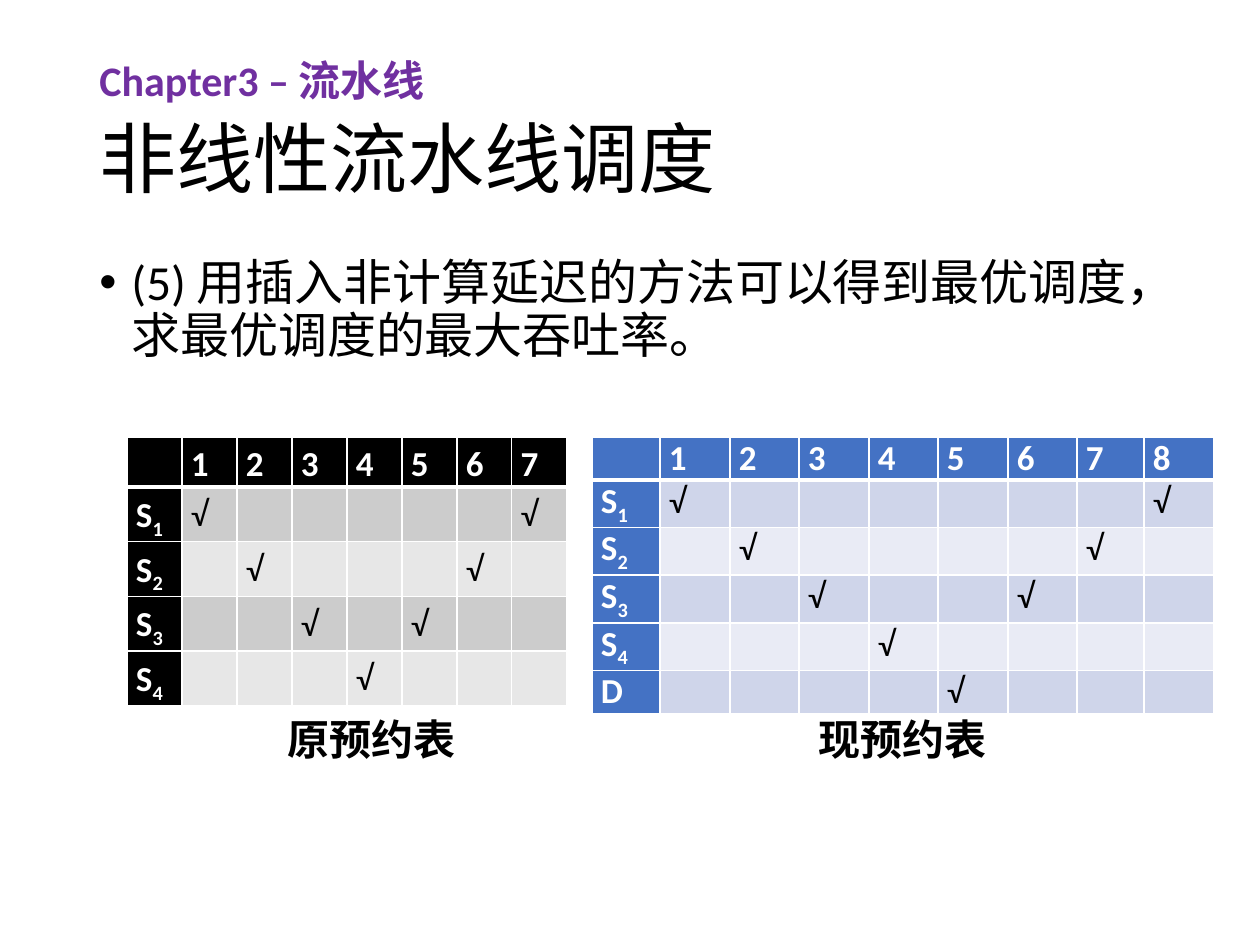
from lxml import etree
from pptx import Presentation
from pptx.dml.color import RGBColor
from pptx.enum.text import MSO_ANCHOR, MSO_AUTO_SIZE, PP_ALIGN
from pptx.oxml.ns import qn
from pptx.util import Pt

LEFT, JUSTIFY = PP_ALIGN.LEFT, PP_ALIGN.JUSTIFY
TOP, MIDDLE = MSO_ANCHOR.TOP, MSO_ANCHOR.MIDDLE
GROW = MSO_AUTO_SIZE.SHAPE_TO_FIT_TEXT
NO_FIT = MSO_AUTO_SIZE.NONE
EMU_PER_PIXEL = 914400 / 126
BLACK, WHITE, PURPLE, BLUE = "000000", "FFFFFF", "7030A0", "4472C4"
CHECK = "√"


def emu(pixels):
    return round(pixels * EMU_PER_PIXEL)


def color(value):
    return RGBColor.from_string(value)


def assign(target, values):
    for name, value in values.items():
        setattr(target, name, value)


class SlideMaker:
    font_name = "Calibri"
    cell_size = 20

    def __init__(self, deck):
        self.slide = deck.slides.add_slide(deck.slide_layouts[5])

    def span(self, para, text, size, shade=BLACK, bold=False, subscript=False):
        span = para.add_run()
        span.text = text
        assign(span.font, {"name": self.font_name, "size": Pt(size), "bold": bold})
        span.font.color.rgb = color(shade)
        if subscript:
            span.font._element.set("baseline", "-25000")

    def fill_text(self, box, text, size, shade=BLACK, bold=False,
                  anchor=TOP, fit=NO_FIT, **para_format):
        frame = box.text_frame
        assign(frame, {"word_wrap": True, "vertical_anchor": anchor, "auto_size": fit})
        para = frame.paragraphs[0]
        assign(para, {"alignment": LEFT, **para_format})
        self.span(para, text, size, shade, bold)
        return para

    def title(self, bounds, text, size, **style):
        box = self.slide.shapes.title
        assign(box, dict(zip(("left", "top", "width", "height"), map(emu, bounds))))
        self.fill_text(box, text, size, anchor=MIDDLE, **style)

    def text(self, bounds, text, size, **style):
        box = self.slide.shapes.add_textbox(*map(emu, bounds))
        return self.fill_text(box, text, size, **style)

    def bullet(self, bounds, text, size, indent, **style):
        properties = self.text(bounds, text, size, **style)._p.get_or_add_pPr()
        properties.set("marL", str(emu(indent)))
        properties.set("indent", str(-emu(indent)))
        font = etree.SubElement(properties, qn("a:buFont"))
        font.set("typeface", "Arial")
        etree.SubElement(properties, qn("a:buChar")).set("char", "•")

    def borders(self, cell, top, bottom):
        properties = cell._tc.get_or_add_tcPr()
        for side, width in (("L", 1), ("R", 1), ("T", top), ("B", bottom)):
            line = etree.SubElement(properties, qn(f"a:ln{side}"))
            line.set("w", str(Pt(width)))
            fill = etree.SubElement(line, qn("a:solidFill"))
            etree.SubElement(fill, qn("a:srgbClr")).set("val", WHITE)

    def cell(self, cell, label, is_head, fill, spacing, top, bottom):
        self.borders(cell, top, bottom)
        cell.fill.solid()
        cell.fill.fore_color.rgb = color(fill)
        assign(cell, {"margin_left": emu(9), "margin_right": emu(9),
                      "margin_top": 0, "margin_bottom": 0})
        para = cell.text_frame.paragraphs[0]
        assign(para, {"alignment": JUSTIFY, "line_spacing": spacing})
        if not label:
            end = etree.SubElement(para._p, qn("a:endParaRPr"))
            end.set("sz", str(self.cell_size * 100))
            return
        shade = WHITE if is_head else BLACK
        self.span(para, label[0], self.cell_size, shade, is_head)
        if label[1:]:
            self.span(para, label[1:], self.cell_size, shade, is_head, True)

    def reservation_table(self, left, top, widths, row_height, stages,
                          head_fill, bands, spacing):
        """Each stage maps to the clock cycles in which it is in use."""
        size = (len(stages) + 1, len(widths))
        bounds = (left, top, sum(widths), row_height * size[0])
        table = self.slide.shapes.add_table(*size, *map(emu, bounds)).table
        for column, width in zip(table.columns, widths):
            column.width = emu(width)
        cycles = range(1, len(widths))
        rows = [[""] + [str(cycle) for cycle in cycles]]
        rows += [[stage] + [CHECK if cycle in used else "" for cycle in cycles]
                 for stage, used in stages.items()]
        for r, labels in enumerate(rows):
            for c, label in enumerate(labels):
                is_head = r == 0 or c == 0
                fill = head_fill if is_head else bands[(r - 1) % 2]
                self.cell(table.cell(r, c), label, is_head, fill, spacing,
                          top=3 if r == 1 else 1, bottom=3 if r == 0 else 1)


deck = Presentation()
deck.slide_width, deck.slide_height = emu(1260), emu(945)
maker = SlideMaker(deck)

# Headings and question
maker.title((87, 107, 1086, 112), "非线性流水线调度", 44, line_spacing=0.9)
maker.bullet((87, 252, 1128, 600),
             "(5) 用插入非计算延迟的方法可以得到最优调度，求最优调度的最大吞吐率。",
             28, indent=32, line_spacing=0.9, space_before=Pt(10))
maker.text((87, 45, 520, 76), "Chapter3 – 流水线", 24, shade=PURPLE, bold=True,
           anchor=MIDDLE, line_spacing=0.9)

# Reservation tables
maker.reservation_table(
    127, 437, [55] * 8, 50,
    {"S1": (1, 7), "S2": (2, 6), "S3": (3, 5), "S4": (4,)},
    BLACK, ("CCCCCC", "E7E7E7"), 1.15)
maker.reservation_table(
    592, 437, [68, 70, 69, 70, 69, 70, 69, 67, 70], 42,
    {"S1": (1, 8), "S2": (2, 7), "S3": (3, 6), "S4": (4,), "D": (5,)},
    BLUE, ("CFD5EA", "E9EBF5"), 1.0)

# Captions
for left, caption in ((275, "原预约表"), (806, "现预约表")):
    maker.text((left, 707, 194, 63), caption, 24, bold=True, fit=GROW)

deck.save("out.pptx")
